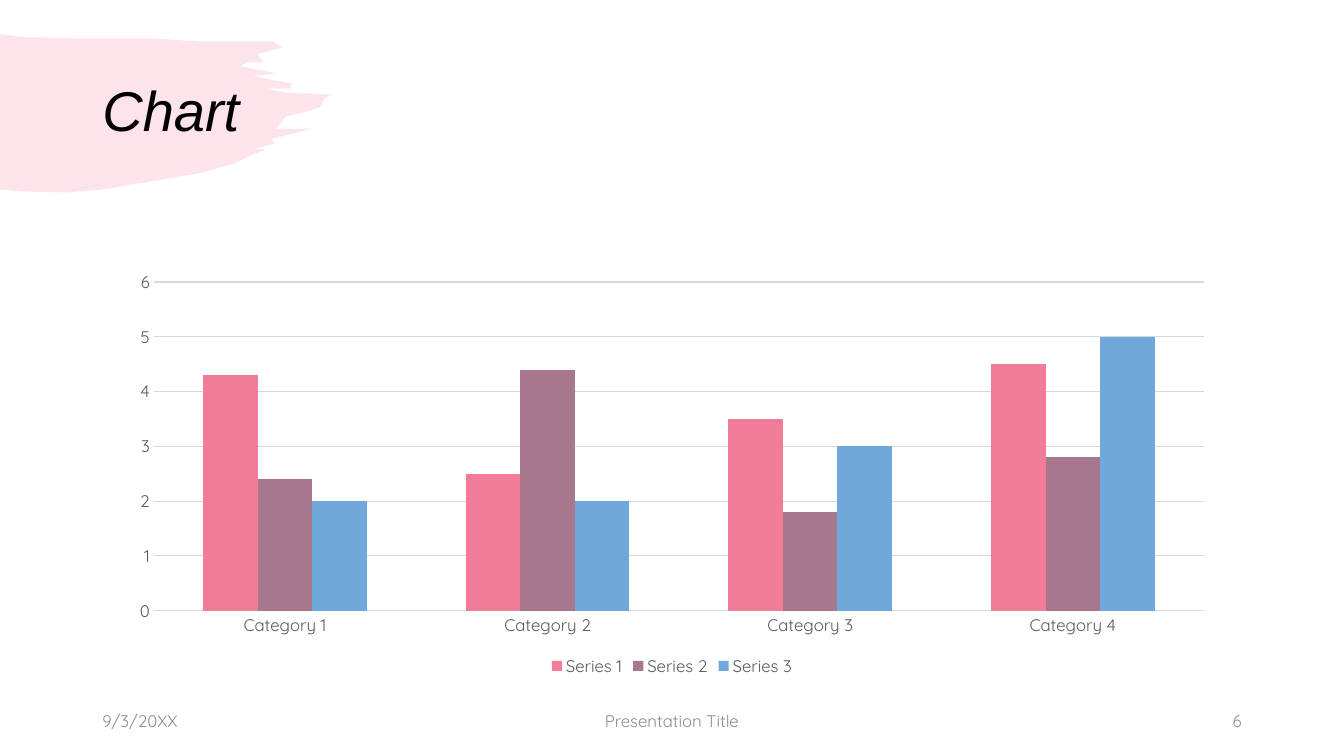
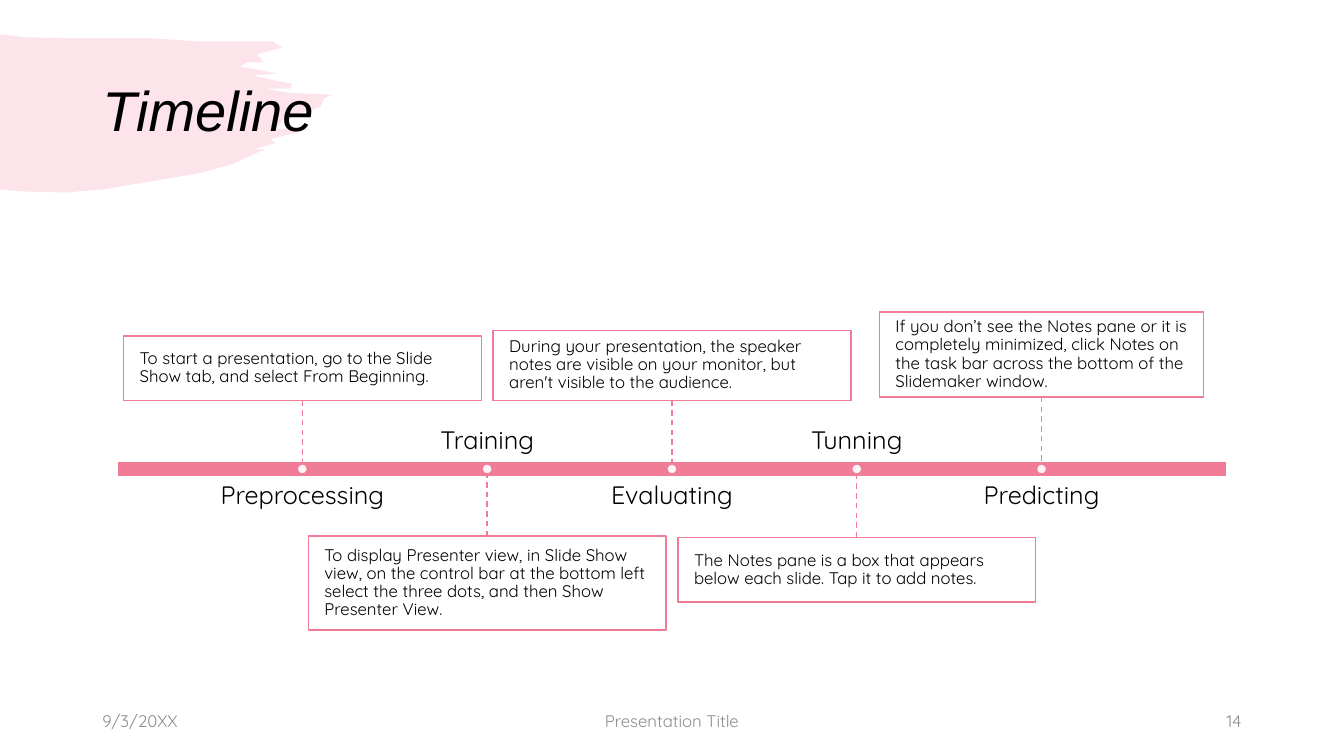
from lxml.etree import SubElement
from pptx import Presentation
from pptx.chart.data import CategoryChartData
from pptx.dml.color import RGBColor
from pptx.enum.chart import XL_CHART_TYPE, XL_LEGEND_POSITION, XL_TICK_MARK
from pptx.enum.dml import MSO_LINE
from pptx.enum.shapes import MSO_CONNECTOR, MSO_SHAPE
from pptx.enum.text import MSO_ANCHOR, MSO_AUTO_SIZE, PP_ALIGN
from pptx.oxml.ns import qn
from pptx.util import Pt

PINK, MAUVE, BLUE = "F07C98", "A6778D", "70A8DB"
BLACK, WHITE = "000000", "FFFFFF"
AXIS_TEXT, GRID, FOOTER_TEXT = "595959", "D9D9D9", "8C8C8C"
HEAD_FONT, BODY_FONT = "Arial", "Quicksand"

# Brush outline, in units of BRUSH_UNIT points
BRUSH_UNIT = 0.72
BRUSH = [
    (0, 34), (25, 37), (66, 38), (151, 38), (194, 41), (248, 41), (270, 41), (280, 47),
    (255, 54), (262, 62), (245, 62), (238, 66), (275, 73), (251, 75), (273, 80),
    (290, 83), (288, 88), (263, 88), (285, 92), (330, 94), (322, 97), (318, 106),
    (307, 110), (283, 116), (274, 128), (308, 128), (269, 138), (273, 142), (252, 148),
    (263, 148), (230, 163), (197, 172), (102, 188), (65, 191), (23, 190), (0, 188),
]

# Label, text, card top, card width, card height
MILESTONES = [
    ("Preprocessing", "To start a presentation, go to the Slide Show tab, and select "
     "From Beginning.", 240, 255.6, 46),
    ("Training", "To display Presenter view, in Slide Show view, on the control bar at "
     "the bottom left select the three dots, and then Show Presenter View.",
     383, 255.6, 67),
    ("Evaluating", "During your presentation, the speaker notes are visible on your "
     "monitor, but aren't visible to the audience.", 236, 255.6, 50),
    ("Tunning", "The Notes pane is a box that appears below each slide. Tap it to add "
     "notes.", 384, 255.6, 46),
    ("Predicting", "If you don’t see the Notes pane or it is completely minimized, click "
     "Notes on the task bar across the bottom of the Slidemaker window.",
     223, 231.8, 60.5),
]


def rgb(value):
    return RGBColor.from_string(value)


def style_font(font, size, color, name=BODY_FONT):
    font.size, font.name = Pt(size), name
    font.color.rgb = rgb(color)


def style_line(line, color, width=1):
    line.color.rgb = rgb(color)
    line.width = Pt(width)


def paint(sp, fill, line=None, opacity=100):
    sp.shadow.inherit = False
    sp.fill.solid()
    sp.fill.fore_color.rgb = rgb(fill)
    if opacity < 100:
        clr = sp.fill._xPr.find(qn("a:solidFill"))[0]
        SubElement(clr, qn("a:alpha")).set("val", str(opacity * 1000))
    if line:
        style_line(sp.line, line)
    else:
        sp.line.fill.background()


def write(sp, text, size, color=BLACK, align=PP_ALIGN.LEFT, anchor=MSO_ANCHOR.MIDDLE,
          insets=(7.2, 3.6), spacing=1.0, font=BODY_FONT):
    tf = sp.text_frame
    tf.text = text
    tf.word_wrap, tf.auto_size, tf.vertical_anchor = True, MSO_AUTO_SIZE.NONE, anchor
    tf.margin_left = tf.margin_right = Pt(insets[0])
    tf.margin_top = tf.margin_bottom = Pt(insets[1])
    p = tf.paragraphs[0]
    p.alignment, p.line_spacing = align, spacing
    style_font(p.runs[0].font, size, color, font)
    return p.runs[0]


def add_text(s, box, text, size, **style):
    write(s.shapes.add_textbox(*map(Pt, box)), text, size, **style)


def add_box(s, kind, box, *colors, **style):
    sp = s.shapes.add_shape(kind, *map(Pt, box))
    paint(sp, *colors, **style)
    return sp


def add_brush(s):
    """Draw the brush stroke and move it to the layout, so that all slides share it."""
    builder = s.shapes.build_freeform(*BRUSH[0], scale=Pt(BRUSH_UNIT))
    builder.add_line_segments(BRUSH[1:], close=True)
    sp = builder.convert_to_shape()
    paint(sp, PINK, opacity=20)
    s.slide_layout.shapes._spTree.append(sp._element)


def new_slide(prs, title, number):
    s = prs.slides.add_slide(prs.slide_layouts[5])
    sp = s.shapes.title
    sp.left, sp.top, sp.width, sp.height = map(Pt, (66, 28.8, 828, 104.4))
    write(sp, title, 40, spacing=0.9, font=HEAD_FONT).font.italic = True
    for left, width, text, align in (
            (66, 216, "9/3/20XX", PP_ALIGN.LEFT),
            (318, 324, "Presentation Title", PP_ALIGN.CENTER),
            (678, 216, str(number), PP_ALIGN.RIGHT)):
        add_text(s, (left, 500.4, width, 28.8), text, 12, color=FOOTER_TEXT, align=align)
    return s


def add_column_chart(s, box):
    data = CategoryChartData()
    data.categories = [f"Category {i}" for i in range(1, 5)]
    data.add_series("Series 1", (4.3, 2.5, 3.5, 4.5))
    data.add_series("Series 2", (2.4, 4.4, 1.8, 2.8))
    data.add_series("Series 3", (2, 2, 3, 5))
    chart = s.shapes.add_chart(XL_CHART_TYPE.COLUMN_CLUSTERED, *map(Pt, box), data).chart
    chart.has_title = False
    style_font(chart.font, 10, BLACK)

    plot = chart.plots[0]
    plot.gap_width, plot.overlap, plot.vary_by_categories = 182, 0, False
    for series, color in zip(plot.series, (PINK, MAUVE, BLUE)):
        series.format.fill.solid()
        series.format.fill.fore_color.rgb = rgb(color)

    cat_axis, val_axis = chart.category_axis, chart.value_axis
    for axis in (cat_axis, val_axis):
        axis.major_tick_mark = axis.minor_tick_mark = XL_TICK_MARK.NONE
        style_font(axis.tick_labels.font, 12, AXIS_TEXT)
    style_line(cat_axis.format.line, GRID, 0.75)
    val_axis.format.line.fill.background()
    val_axis.minimum_scale, val_axis.maximum_scale, val_axis.major_unit = 0, 6, 1
    val_axis.has_major_gridlines = True
    style_line(val_axis.major_gridlines.format.line, GRID, 0.75)

    chart.has_legend = True
    chart.legend.position = XL_LEGEND_POSITION.BOTTOM
    chart.legend.include_in_layout = False
    style_font(chart.legend.font, 12, AXIS_TEXT)


def add_milestone(s, x, bar_y, milestone):
    """Place card, dashed stem, dot and label around the point (x, bar_y)."""
    label, text, top, width, height = milestone
    above = top < bar_y
    card = add_box(s, MSO_SHAPE.RECTANGLE, (x - width / 2, top, width, height),
                   WHITE, PINK, opacity=90)
    write(card, text, 12, insets=(11.5, 2.5), spacing=0.9)

    stem = s.shapes.add_connector(MSO_CONNECTOR.STRAIGHT, Pt(x), Pt(top), Pt(x), Pt(bar_y))
    stem.begin_connect(card, 2 if above else 0)
    style_line(stem.line, PINK)
    stem.line.dash_style = MSO_LINE.DASH
    SubElement(stem._element.spPr, qn("a:effectLst"))

    add_box(s, MSO_SHAPE.OVAL, (x - 3.6, bar_y - 3.6, 7.2, 7.2), WHITE, PINK, opacity=90)
    label_top = bar_y + 10 if above else bar_y - 40
    add_text(s, (x - 105.5, label_top, 211, 30), label, 18, align=PP_ALIGN.CENTER,
             anchor=MSO_ANCHOR.TOP if above else MSO_ANCHOR.BOTTOM,
             insets=(0, 0), spacing=0.9)


def add_timeline(s, box):
    left, top, width, height = box
    add_box(s, MSO_SHAPE.RECTANGLE, box, PINK, WHITE)
    step = width / (len(MILESTONES) + 1)
    for i, milestone in enumerate(MILESTONES, 1):
        add_milestone(s, left + i * step, top + height / 2, milestone)


def main():
    prs = Presentation()
    prs.slide_width, prs.slide_height = Pt(960), Pt(540)
    s = new_slide(prs, "Chart", 6)
    add_brush(s)
    add_column_chart(s, (84, 188, 792, 298))
    s = new_slide(prs, "Timeline", 14)
    add_timeline(s, (84, 329.6, 792, 10.8))
    prs.save("out.pptx")


if __name__ == "__main__":
    main()
